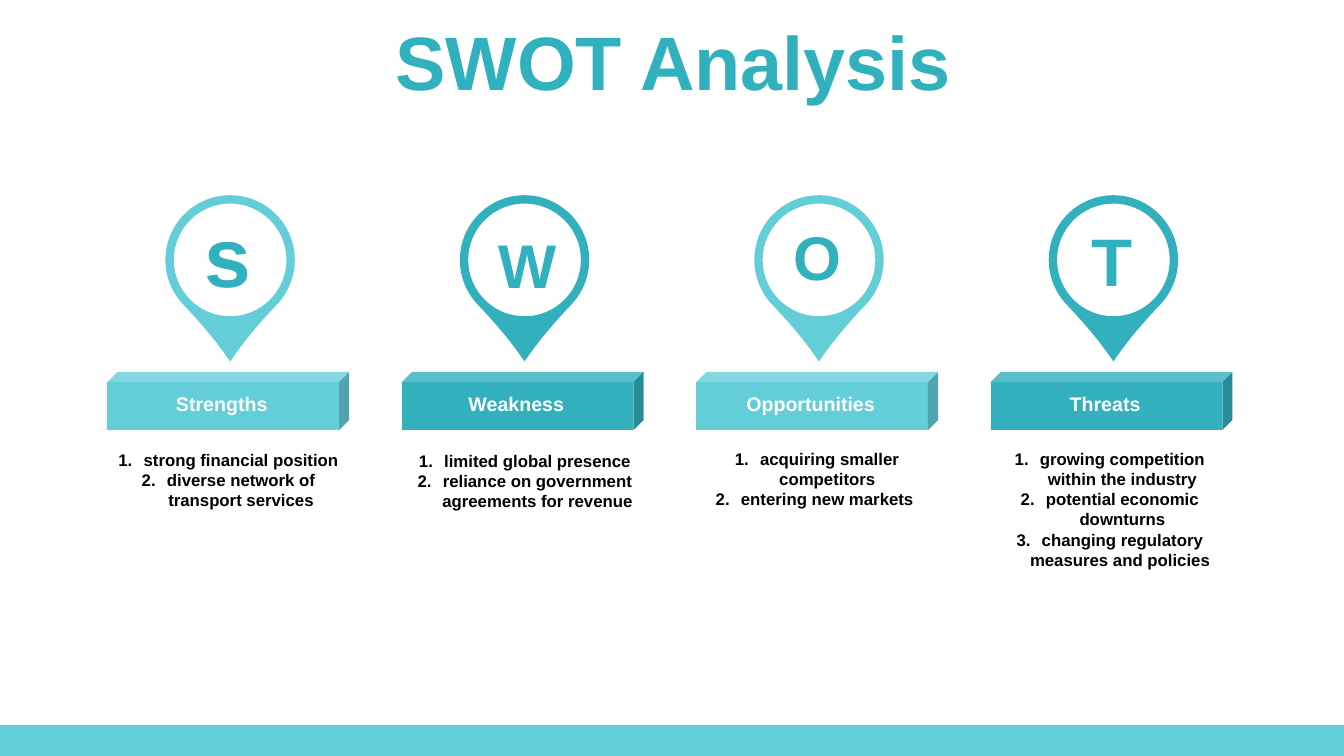
import math

from lxml import etree
from pptx import Presentation
from pptx import util as u
from pptx.dml.color import RGBColor
from pptx.enum import shapes, text
from pptx.oxml.ns import qn

COLORS = {
    "light": "64CED8",
    "dark": "32B0BE",
    "accent": "30B1BD",
    "white": "FFFFFF",
    "black": "000000",
}
FONT = "Arial"
PITCH = 7.42  # distance between columns, in cm

# letter, letter size, letter left and top, label, list left and top, list items
COLUMNS = [
    ("s", 60, 4.9, 5.0, "Strengths ", 2.66, 11.2,
     ["strong financial position", "diverse network of transport services"]),
    ("W", 44, 12.32, 5.6, "Weakness ", 10.13, 11.23,
     ["limited global presence", "reliance on government agreements for revenue"]),
    ("O", 44, 19.74, 5.38, "Opportunities ", 17.49, 11.18,
     ["acquiring smaller competitors ", "entering new markets "]),
    ("T", 48, 27.25, 5.4, "Threats ", 24.87, 11.18,
     ["growing competition within the industry", "potential economic downturns",
      "changing regulatory measures and policies "]),
]


def arc(radius, start, end):
    """Curve along a circle around 0, 0 as two control points and an end point."""
    start, end = math.radians(start), math.radians(end)
    pull = 4 / 3 * math.tan((end - start) / 4)
    start_x, start_y = radius * math.cos(start), radius * math.sin(start)
    end_x, end_y = radius * math.cos(end), radius * math.sin(end)
    return [(start_x - pull * start_y, start_y + pull * start_x),
            (end_x + pull * end_y, end_y - pull * end_x),
            (end_x, end_y)]


class SwotSlide:
    def __init__(self, presentation):
        self.slide = presentation.slides.add_slide(presentation.slide_layouts[5])

    def paint(self, shape, color):
        shape.shadow.inherit = False
        shape.fill.solid()
        shape.fill.fore_color.rgb = RGBColor.from_string(COLORS[color])
        shape.line.fill.background()

    def style(self, paragraph, size, color):
        for run in paragraph.runs:
            run.font.name = FONT
            run.font.size = u.Pt(size)
            run.font.bold = True
            run.font.color.rgb = RGBColor.from_string(COLORS[color])

    def title(self, wording):
        shape = self.slide.shapes.title
        shape.left, shape.top = u.Cm(0.89), u.Cm(0.66)
        shape.width, shape.height = u.Cm(32.16), u.Cm(2.01)
        frame = shape.text_frame
        frame.text = wording
        frame.auto_size = text.MSO_AUTO_SIZE.NONE
        frame.vertical_anchor = text.MSO_ANCHOR.MIDDLE
        paragraph = frame.paragraphs[0]
        paragraph.alignment = text.PP_ALIGN.CENTER
        paragraph.line_spacing = 0.9
        self.style(paragraph, 54, "accent")

    def block(self, kind, left, top, width, height, color):
        shape = self.slide.shapes.add_shape(
            kind, u.Cm(left), u.Cm(top), u.Cm(width), u.Cm(height))
        self.paint(shape, color)
        return shape

    def pin(self, center_x, center_y, color):
        """Map pin: a ring that runs down into a curved point."""
        radius, hole_radius, tip = 1.63, 1.42, (0, 2.56)
        side = radius * math.sqrt(0.5)
        outline = [arc(radius, start, end)
                   for start, end in ((135, 180), (180, 270), (270, 360), (360, 405))]
        outline += [[(0.74, 1.59), (0.35, 2.04), tip],
                    [(-0.35, 2.04), (-0.74, 1.59), (-side, side)]]
        hole = [arc(hole_radius, start, start - 90) for start in (360, 270, 180, 90)]
        self.curved_shape([outline, hole], center_x, center_y, radius, color)

    def curved_shape(self, contours, center_x, center_y, reach, color):
        """Closed contours of curves, reaching that far left of and above the centre."""
        units = 1000  # drawing units per cm

        def local(point):
            return tuple(round((value + reach) * units) for value in point)

        builder = None
        for contour in contours:
            ends = [local(curve[-1]) for curve in contour]
            if builder is None:
                builder = self.slide.shapes.build_freeform(*ends[-1], scale=u.Cm(1) / units)
            else:
                builder.move_to(*ends[-1])
            builder.add_line_segments(ends, close=True)
        shape = builder.convert_to_shape(u.Cm(center_x - reach), u.Cm(center_y - reach))

        curves = [curve for contour in contours for curve in contour]
        lines = list(shape._element.iter(qn("a:lnTo")))
        for line, curve in zip(lines, curves):
            bend = etree.Element(qn("a:cubicBezTo"))
            for x, y in map(local, curve):
                etree.SubElement(bend, qn("a:pt"), x=str(x), y=str(y))
            line.getparent().replace(line, bend)
        self.paint(shape, color)

    def textbox(self, lines, left, top, width, height, size, color, centered=True, numbered=False):
        box = self.slide.shapes.add_textbox(u.Cm(left), u.Cm(top), u.Cm(width), u.Cm(height))
        frame = box.text_frame
        frame.word_wrap = True
        frame.auto_size = text.MSO_AUTO_SIZE.SHAPE_TO_FIT_TEXT
        frame.text = "\n".join(lines)
        for paragraph in frame.paragraphs:
            if centered:
                paragraph.alignment = text.PP_ALIGN.CENTER
            if numbered:
                self.number(paragraph)
            self.style(paragraph, size, color)

    def number(self, paragraph):
        properties = paragraph._p.get_or_add_pPr()
        indent = u.Cm(0.635)
        properties.set("marL", str(indent))
        properties.set("indent", str(-indent))
        etree.SubElement(properties, qn("a:buFont"), typeface="+mj-lt")
        etree.SubElement(properties, qn("a:buAutoNum"), type="arabicPeriod")


def main():
    presentation = Presentation()
    presentation.slide_width, presentation.slide_height = u.Cm(33.87), u.Cm(19.05)
    swot = SwotSlide(presentation)
    swot.block(shapes.MSO_SHAPE.RECTANGLE, 0, 18.27, 33.87, 0.78, "light")
    swot.title("SWOT Analysis")

    for index, column in enumerate(COLUMNS):
        letter, size, letter_left, letter_top, label, list_left, list_top, items = column
        offset = index * PITCH
        color = ("light", "dark")[index % 2]
        cube = swot.block(shapes.MSO_SHAPE.CUBE, 2.71 + offset, 9.37, 6.09, 1.47, color)
        cube.adjustments[0] = 0.173
        swot.pin(5.8 + offset, 6.55, color)
        swot.textbox([label], 3.45 + offset, 9.75, 4.42, 0.86, 14, "white")
        swot.textbox([letter], letter_left, letter_top, 2.21, size * 0.047, size, "accent",
                     centered=False)
        swot.textbox(items, list_left, list_top, 6.2, 1.8 if len(items) == 2 else 3.33,
                     12, "black", numbered=True)

    presentation.save("out.pptx")


if __name__ == "__main__":
    main()
